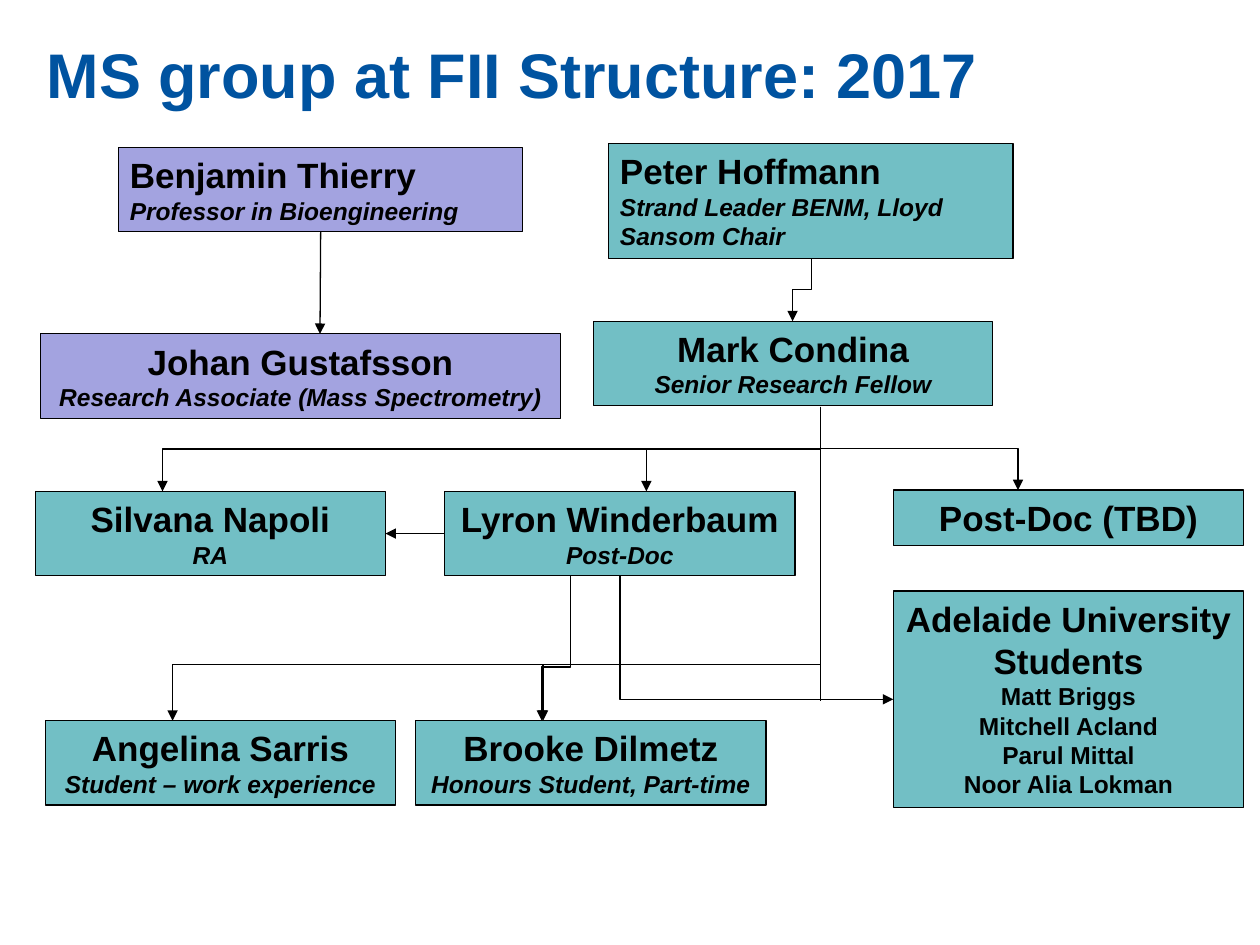
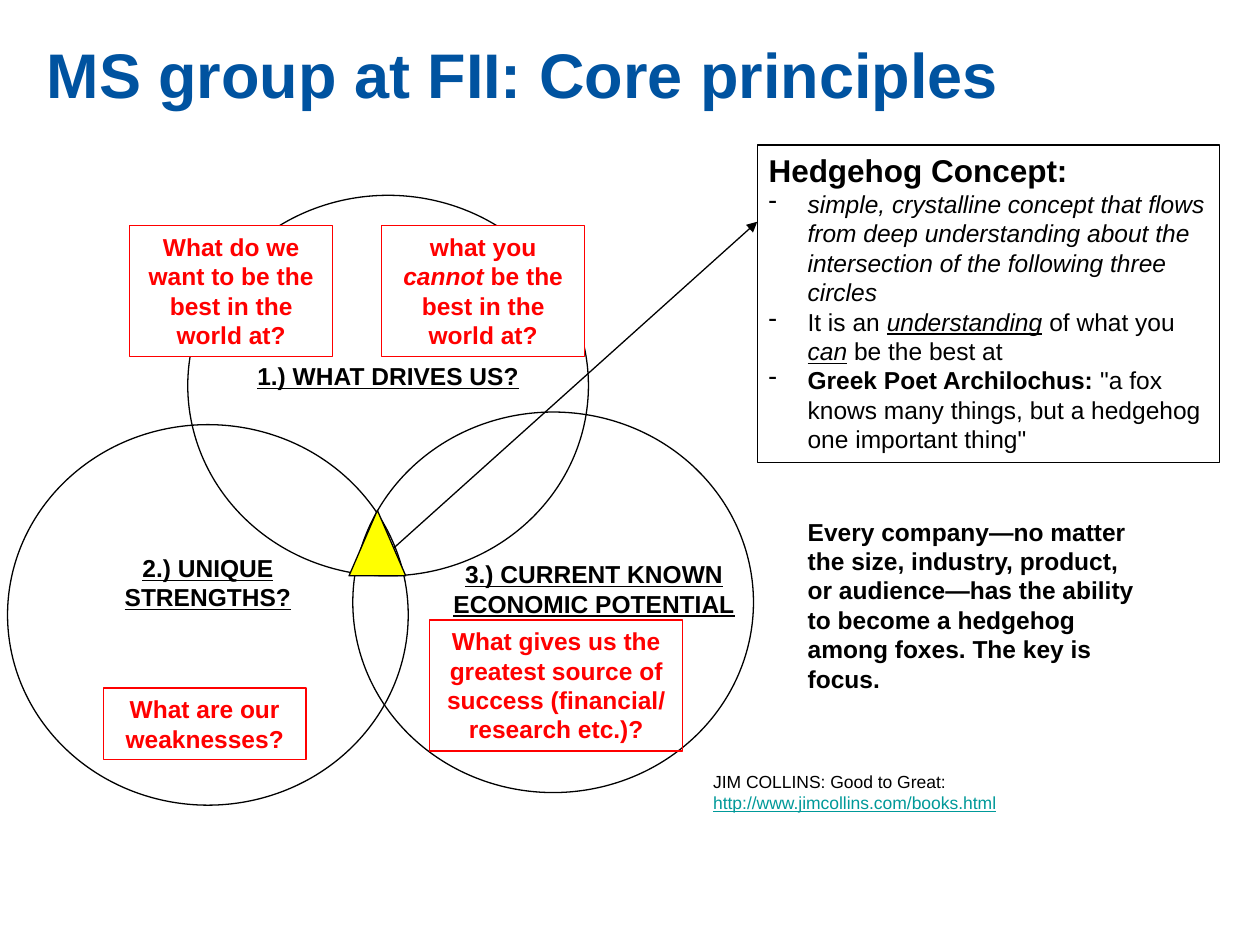
from lxml import etree
from pptx import Presentation
from pptx.dml.color import RGBColor
from pptx.enum.shapes import MSO_CONNECTOR as LINE, MSO_SHAPE as SHAPE
from pptx.enum.text import MSO_ANCHOR, MSO_AUTO_SIZE, PP_ALIGN as ALIGN
from pptx.oxml.ns import qn
from pptx.util import Inches, Pt

FONT = "Arial"
TITLE_BLUE = "0053A0"
TEAL = "72BFC5"
LILAC = "A3A3E0"
RED = "FF0000"
YELLOW = "FFFF00"
LINK = "009999"
BLACK = "000000"
WHITE = "FFFFFF"
LINE_WIDTH = Pt(0.75)


def color(hex_text):
    return RGBColor.from_string(hex_text)


def write_text(frame, paragraphs, align=ALIGN.LEFT, **base):
    """Fill a frame; a paragraph is a string or a list of (text, format) runs."""
    frame.word_wrap = True
    frame.auto_size = MSO_AUTO_SIZE.NONE
    frame.vertical_anchor = MSO_ANCHOR.TOP
    frame.margin_left = frame.margin_right = Inches(0.09)
    frame.margin_top = frame.margin_bottom = Inches(0.05)
    for index, content in enumerate(paragraphs):
        paragraph = frame.add_paragraph() if index else frame.paragraphs[0]
        paragraph.alignment = align
        runs = [(content, {})] if isinstance(content, str) else content
        for text, changes in runs:
            style = {"size": 14, "fill": BLACK, **base, **changes}
            run = paragraph.add_run()
            run.text = text
            font = run.font
            font.name = FONT
            font.size = Pt(style["size"])
            font.color.rgb = color(style["fill"])
            font.bold = style.get("bold", False)
            font.italic = style.get("italic", False)
            font.underline = style.get("underline", False)


def add_titled_slide(presentation, title_text):
    slide = presentation.slides.add_slide(presentation.slide_layouts[5])
    title = slide.shapes.title
    title.left, title.top = Inches(0.27), Inches(0.3)
    title.width, title.height = Inches(9.2), Inches(0.94)
    write_text(title.text_frame, [title_text], size=36, bold=True, fill=TITLE_BLUE)
    title.text_frame.margin_left = Inches(0.1)
    title.text_frame.paragraphs[0].line_spacing = 0.9
    return slide


def add_outlined(slide, kind, left, top, width, height, fill=None, outline=BLACK):
    shape = slide.shapes.add_shape(
        kind, Inches(left), Inches(top), Inches(width), Inches(height))
    shape.shadow.inherit = False
    if fill:
        shape.fill.solid()
        shape.fill.fore_color.rgb = color(fill)
    else:
        shape.fill.background()
    shape.line.color.rgb = color(outline)
    shape.line.width = LINE_WIDTH
    return shape


def add_person(slide, left, top, width, name, role=None, fill=TEAL,
               height=0.67, align=ALIGN.CENTER):
    box = add_outlined(slide, SHAPE.RECTANGLE, left, top, width, height, fill)
    paragraphs = [[(name, {"size": 20})]]
    if role:
        paragraphs.append([(role, {"italic": True})])
    write_text(box.text_frame, paragraphs, align, bold=True)
    return box


def add_text(slide, left, top, width, height, paragraphs, **style):
    box = slide.shapes.add_textbox(
        Inches(left), Inches(top), Inches(width), Inches(height))
    write_text(box.text_frame, paragraphs, **style)


def add_question(slide, left, top, width, height, content, fill=None):
    box = add_outlined(slide, SHAPE.RECTANGLE, left, top, width, height, fill, RED)
    write_text(box.text_frame, [content], ALIGN.CENTER, bold=True, fill=RED)


def add_line(slide, start, end, kind=LINE.STRAIGHT, arrow=True):
    connector = slide.shapes.add_connector(
        kind, *(Inches(value) for value in (*start, *end)))
    connector.line.color.rgb = color(BLACK)
    connector.line.width = LINE_WIDTH
    if arrow:
        etree.SubElement(connector.line._get_or_add_ln(), qn("a:tailEnd"), type="triangle")
    etree.SubElement(connector._element.spPr, qn("a:effectLst"))
    return connector


def add_elbow(slide, start, end, bend=0.5, corner=False):
    """Draw an elbow arrow that leaves downwards and turns at the bend fraction.

    The preset runs sideways first, so its box is turned by a quarter.
    """
    (x1, y1), (x2, y2) = start, end
    middle_x, middle_y = (x1 + x2) / 2, (y1 + y2) / 2
    half_run, half_rise = (y2 - y1) / 2, abs(x2 - x1) / 2
    to_right = x2 > x1
    if to_right:
        half_run = -half_run
    connector = add_line(slide, (middle_x - half_run, middle_y - half_rise),
                         (middle_x + half_run, middle_y + half_rise), LINE.ELBOW)
    properties = connector._element.spPr
    properties.find(qn("a:xfrm")).set("rot", str((270 if to_right else 90) * 60000))
    geometry = properties.find(qn("a:prstGeom"))
    if corner:
        geometry.set("prst", "bentConnector2")
    else:
        guides = geometry.find(qn("a:avLst"))
        etree.SubElement(guides, qn("a:gd"), name="adj1",
                         fmla=f"val {round(bend * 100000)}")


def add_dash(paragraph):
    properties = paragraph._p.get_or_add_pPr()
    properties.set("marL", str(Inches(0.31)))
    properties.set("indent", str(-Inches(0.31)))
    etree.SubElement(properties, qn("a:buChar"), char="-")


def build_structure(presentation):
    slide = add_titled_slide(presentation, "MS group at FII Structure: 2017")
    add_person(slide, 4.83, 1.14, 3.21, "Peter Hoffmann",
               "Strand Leader BENM, Lloyd Sansom Chair", height=0.91, align=ALIGN.LEFT)
    add_person(slide, 4.71, 2.55, 3.17, "Mark Condina", "Senior Research Fellow")
    member_width = 2.78
    lyron = add_person(slide, 3.53, 3.9, member_width, "Lyron Winderbaum", "Post-Doc")
    silvana = add_person(slide, 0.28, 3.9, member_width, "Silvana Napoli", "RA")
    add_person(slide, 7.09, 3.89, member_width, "Post-Doc (TBD)", height=0.44)
    add_person(slide, 3.3, 5.72, member_width, "Brooke Dilmetz",
               "Honours Student, Part-time")
    add_person(slide, 0.36, 5.72, member_width, "Angelina Sarris",
               "Student – work experience")
    add_person(slide, 0.32, 2.65, 4.13, "Johan Gustafsson",
               "Research Associate (Mass Spectrometry)", LILAC)
    benjamin = add_person(slide, 0.94, 1.17, 3.21, "Benjamin Thierry",
                          "Professor in Bioengineering", LILAC, align=ALIGN.LEFT)
    students = add_outlined(slide, SHAPE.RECTANGLE, 7.09, 4.69, member_width, 1.72, TEAL)
    write_text(students.text_frame,
               [[("Adelaide University Students", {"size": 20})], "Matt Briggs",
                "Mitchell Acland", "Parul Mittal", "Noor Alia Lokman"],
               ALIGN.CENTER, bold=True)

    add_line(slide, (2.54, 1.85), (2.54, 2.65)).begin_connect(benjamin, 2)
    to_silvana = add_line(slide, (3.53, 4.24), (3.07, 4.24))
    to_silvana.begin_connect(lyron, 1)
    to_silvana.end_connect(silvana, 3)

    add_elbow(slide, (6.44, 2.05), (6.29, 2.55))
    trunk = (6.51, 3.23)
    add_line(slide, trunk, (6.51, 5.56), arrow=False)
    for end, bend in [((8.08, 3.89), 0.5), ((5.13, 3.9), 0.5), ((1.29, 3.9), 0.5),
                      ((4.31, 5.72), 0.82), ((1.37, 5.72), 0.82)]:
        add_elbow(slide, trunk, end, bend)
    add_elbow(slide, (4.53, 4.57), (4.3, 5.72), 0.63)
    add_elbow(slide, (4.92, 4.57), (7.09, 5.55), corner=True)


def build_principles(presentation):
    slide = add_titled_slide(presentation, "MS group at FII: Core principles")
    for left, top in [(1.49, 1.55), (0.06, 3.37), (2.8, 3.27)]:
        add_outlined(slide, SHAPE.OVAL, left, top, 3.18, 3.02)
    for left, top, width, height, heading in [
            (1.87, 2.82, 2.42, 0.34, "1.) WHAT DRIVES US?"),
            (0.44, 4.34, 2.42, 0.57, "2.) UNIQUE STRENGTHS?"),
            (3.45, 4.39, 2.53, 0.57, "3.) CURRENT KNOWN ECONOMIC POTENTIAL")]:
        add_text(slide, left, top, width, height, [heading],
                 align=ALIGN.CENTER, bold=True, underline=True)

    add_question(slide, 0.82, 5.46, 1.61, 0.57, "What are our weaknesses?")
    add_question(slide, 1.03, 1.79, 1.61, 1.04,
                 "What do we want to be the best in the world at?", WHITE)
    add_question(slide, 3.41, 4.92, 2.01, 1.04,
                 "What gives us the greatest source of success (financial/ research etc.)?")
    add_line(slide, (3.08, 4.39), (6.01, 1.76))
    add_outlined(slide, SHAPE.ISOSCELES_TRIANGLE, 2.77, 4.05, 0.45, 0.52, YELLOW)

    bold, italic = {"bold": True}, {"italic": True}
    stressed = {"italic": True, "underline": True}
    concept = add_outlined(slide, SHAPE.RECTANGLE, 6.01, 1.15, 3.67, 2.52)
    write_text(concept.text_frame, [
        [("Hedgehog Concept:", {"size": 18, "bold": True})],
        [("simple, crystalline concept that flows from deep understanding about "
          "the intersection of the following three circles", italic)],
        [("It is an ", {}), ("understanding", stressed), (" of what you ", {}),
         ("can", stressed), (" be the best at", {})],
        [("Greek Poet Archilochus: ", bold),
         ('"a fox knows many things, but a hedgehog one important thing"', {})]])
    for paragraph in concept.text_frame.paragraphs[1:]:
        add_dash(paragraph)

    add_question(slide, 3.03, 1.79, 1.61, 1.04,
                 [("what you ", {}), ("cannot", italic),
                  (" be the best in the world at?", {})], WHITE)
    add_text(slide, 5.57, 6.07, 3.06, 0.44,
             ["JIM COLLINS: Good to Great:",
              [("http://www.jimcollins.com/books.html",
                {"fill": LINK, "underline": True})]], size=10)
    add_text(slide, 6.32, 4.05, 2.89, 1.51,
             ["Every company—no matter the size, industry, product, or audience—has "
              "the ability to become a hedgehog among foxes. The key is focus."],
             bold=True)


def main():
    presentation = Presentation()
    presentation.slide_width, presentation.slide_height = Inches(10), Inches(7.5)
    build_structure(presentation)
    build_principles(presentation)
    presentation.save("out.pptx")


if __name__ == "__main__":
    main()
